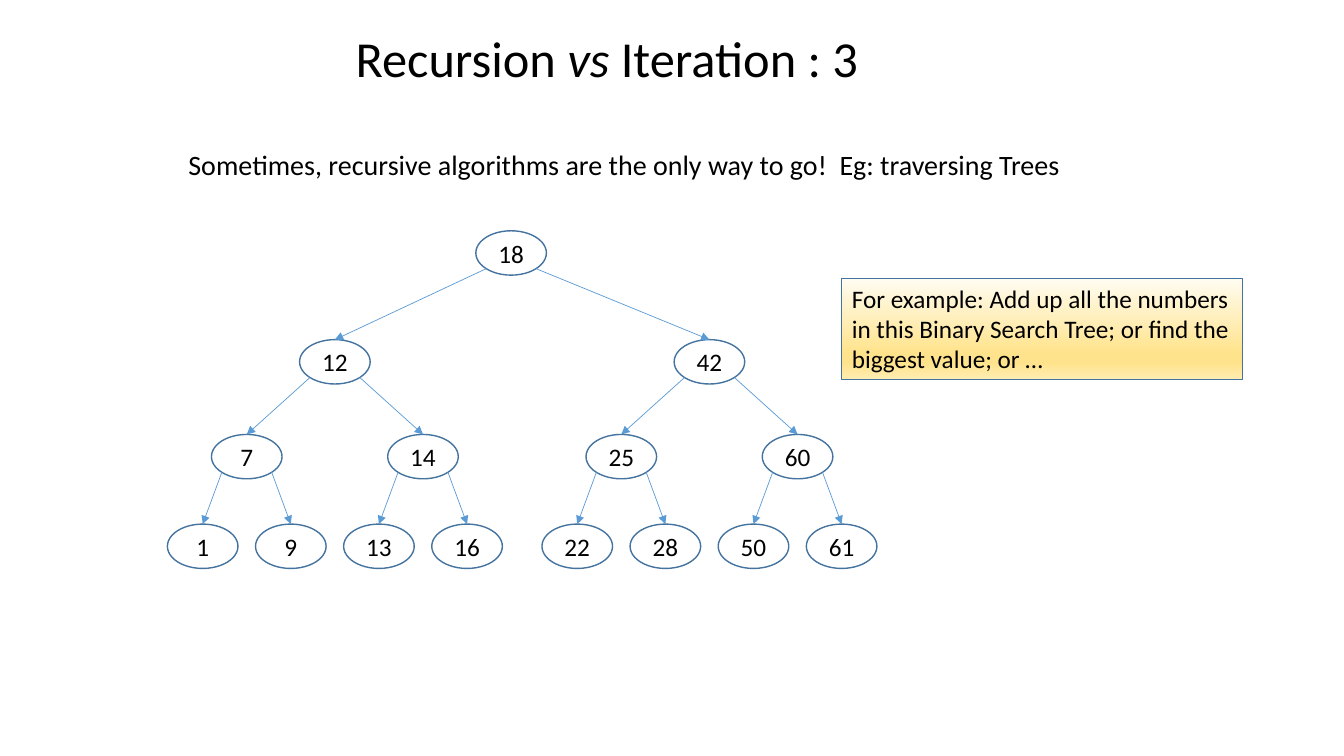
from math import cos, pi

from lxml.etree import SubElement
from pptx import Presentation
from pptx.dml.color import RGBColor
from pptx.enum.shapes import MSO_CONNECTOR, MSO_SHAPE
from pptx.enum.text import MSO_ANCHOR, PP_ALIGN
from pptx.oxml.ns import qn
from pptx.util import Inches, Pt

SLIDE_WIDTH = Inches(13.33)
SLIDE_HEIGHT = Inches(7.5)
COLUMN = SLIDE_WIDTH / 30.5

BLACK = RGBColor(0x00, 0x00, 0x00)
OUTLINE = RGBColor(0x43, 0x73, 0x9E)
ARROW = RGBColor(0x5B, 0x9B, 0xD5)
GOLD_STOPS = [
    (0, RGBColor(0xFF, 0xFC, 0xF2)),
    (74, RGBColor(0xFF, 0xE3, 0x8C)),
    (83, RGBColor(0xFF, 0xE3, 0x8C)),
    (100, RGBColor(0xFF, 0xEC, 0xB2)),
]

# Each node is (value, left subtree, right subtree).
TREE = (18,
        (12, (7, (1,), (9,)), (14, (13,), (16,))),
        (42, (25, (22,), (28,)), (60, (50,), (61,))))
ROOT_COLUMN = 11.6
LEVEL_TOPS = [30.53, 44.93, 57.47, 69.33]
CHILD_OFFSETS = [(-4, 4.5), (-2, 2), (-1, 1)]
NODE_WIDTH, NODE_HEIGHT = 5.25, 5.87


def across(percent):
    """Turn a percentage of the slide width into a length."""
    return int(SLIDE_WIDTH * percent / 100)


def down(percent):
    """Turn a percentage of the slide height into a length."""
    return int(SLIDE_HEIGHT * percent / 100)


def write(shape, *pieces, size=18, color=BLACK, align=PP_ALIGN.LEFT,
          anchor=MSO_ANCHOR.TOP, italic=()):
    """Write the pieces as one paragraph; those listed in italic are slanted."""
    frame = shape.text_frame
    frame.word_wrap = True
    frame.vertical_anchor = anchor
    para = frame.paragraphs[0]
    para.alignment = align
    for piece in pieces:
        span = para.add_run()
        span.text = piece
        span.font.name = "Calibri"
        span.font.size = Pt(size)
        span.font.color.rgb = color
        span.font.italic = piece in italic


def add_text(page, left, top, width, height, *pieces, **style):
    """Add a text box placed in percentages of the slide."""
    box = page.shapes.add_textbox(
        across(left), down(top), across(width), down(height))
    write(box, *pieces, **style)


def add_outlined(page, kind, left, top, width, height, line_width):
    """Add a preset shape with a thin blue outline and no shadow."""
    shape = page.shapes.add_shape(kind, left, top, width, height)
    shape.shadow.inherit = False
    shape.line.color.rgb = OUTLINE
    shape.line.width = Pt(line_width)
    return shape


def fill_gradient(shape, stops):
    """Fill a shape from top to bottom with (percent, colour) stops."""
    shape.fill.gradient()
    shape.fill.gradient_angle = 270
    stop_list = shape._element.spPr.find(".//" + qn("a:gsLst"))
    for stop in list(stop_list):
        stop_list.remove(stop)
    for percent, color in stops:
        stop = SubElement(stop_list, qn("a:gs"), pos=str(percent * 1000))
        SubElement(stop, qn("a:srgbClr"), val=str(color))


def add_note(page, left, top, width, height, text):
    """Add the gold box with the example."""
    note = add_outlined(page, MSO_SHAPE.RECTANGLE, across(left), down(top),
                        across(width), down(height), 0.75)
    fill_gradient(note, GOLD_STOPS)
    write(note, text)


def add_arrow(page, parent, child, side):
    """Link the parent's lower left (-1) or right (1) to the child's top."""
    reach = (1 + cos(pi / 4)) / 2
    share = reach if side > 0 else 1 - reach
    arrow = page.shapes.add_connector(
        MSO_CONNECTOR.STRAIGHT,
        int(parent.left + parent.width * share),
        int(parent.top + parent.height * reach),
        child.left + child.width // 2, child.top)
    arrow.end_connect(child, 0)
    arrow.line.color.rgb = ARROW
    arrow.line.width = Pt(0.5)
    SubElement(arrow.line._get_or_add_ln(), qn("a:tailEnd"), type="triangle")
    SubElement(arrow._element.spPr, qn("a:effectLst"))


def add_tree(page, tree, column, level=0):
    """Draw a subtree centred on a column and return its top node."""
    value, *children = tree
    width = across(NODE_WIDTH)
    node = add_outlined(page, MSO_SHAPE.OVAL, int(column * COLUMN - width / 2),
                        down(LEVEL_TOPS[level]), width, down(NODE_HEIGHT), 1)
    node.fill.background()
    write(node, str(value), align=PP_ALIGN.CENTER, anchor=MSO_ANCHOR.MIDDLE)
    if children:
        for subtree, offset in zip(children, CHILD_OFFSETS[level]):
            child = add_tree(page, subtree, column + offset, level + 1)
            add_arrow(page, node, child, offset)
    return node


def main():
    """Build the slide and save the deck."""
    deck = Presentation()
    deck.slide_width, deck.slide_height = SLIDE_WIDTH, SLIDE_HEIGHT
    page = deck.slides.add_slide(deck.slide_layouts[6])
    add_text(page, 25.73, 2.93, 49.36, 9.47,
             "Recursion ", "vs", " Iteration : 3", size=36, italic=("vs",))
    add_text(page, 13.28, 18.8, 77.79, 5.87,
             "Sometimes, recursive algorithms are the only way to go!  "
             "Eg: traversing Trees", size=20)
    add_tree(page, TREE, ROOT_COLUMN)
    add_note(page, 62.64, 36.8, 29.78, 13.47,
             "For example: Add up all the numbers in this Binary Search Tree; "
             "or find the biggest value; or …")
    deck.save("out.pptx")


main()
